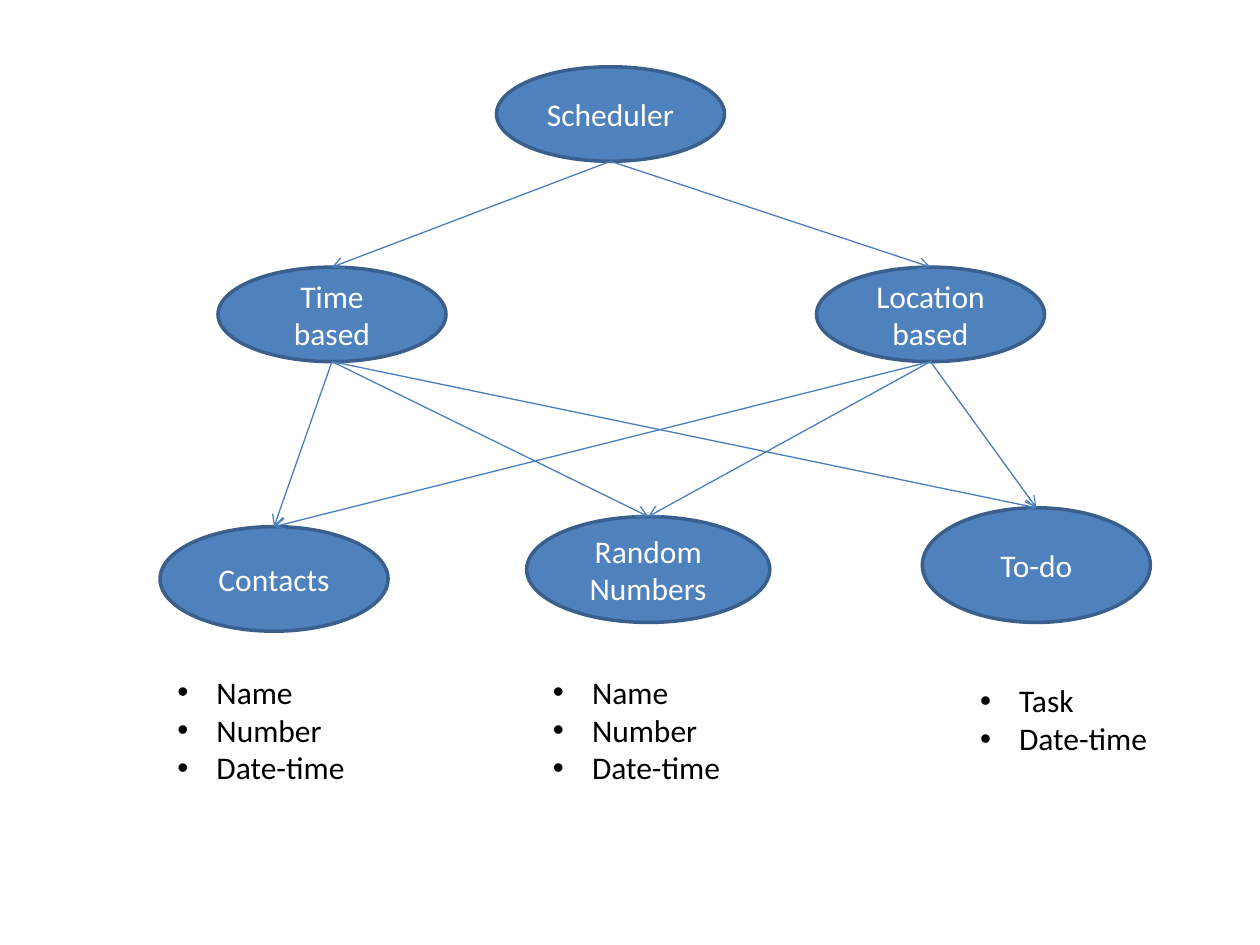
import pptx
import pptx.util
import pptx.dml.color
import pptx.enum.shapes
import pptx.enum.text
import pptx.oxml.ns
from lxml import etree

THEME = {
    "font": "Calibri", "size": 18,
    "fill": "4F81BD", "outline": "3A5F8C", "arrow": "4B7EBC",
    "node_text": "FFFFFF", "list_text": "000000",
    "outline_width": 2, "arrow_width": 0.75,
}
WIDTH, HEIGHT = 10, 7.5
NODE_W, NODE_H = 1.81, 0.75
LIST_W, LINE_H, LIST_PAD, INDENT = 2.01, 0.3, 0.1, 0.31

# name: (left, top, width, height)
NODES = {
    "Scheduler": (3.94, 0.53, NODE_W, NODE_H),
    "Time based": (1.73, 2.12, NODE_W, NODE_H),
    "Location based": (6.48, 2.12, NODE_W, NODE_H),
    "Contacts": (1.27, 4.18, NODE_W, 0.83),
    "Random Numbers": (4.18, 4.1, 1.93, 0.84),
    "To-do": (7.32, 4.03, NODE_W, 0.91),
}
TRIGGERS = ["Time based", "Location based"]
CHILDREN = {"Scheduler": TRIGGERS}
CHILDREN.update({t: ["Contacts", "Random Numbers", "To-do"] for t in TRIGGERS})

# left, top, items
FIELDS = [
    (1.31, 5.29, ["Name", "Number", "Date-time"]),
    (4.29, 5.29, ["Name", "Number", "Date-time"]),
    (7.68, 5.36, ["Task", "Date-time"]),
]


def inches(*values):
    """Convert numbers to lengths in inches."""
    return [pptx.util.Inches(v) for v in values]


def rgb(key):
    """Look up a theme colour."""
    return pptx.dml.color.RGBColor.from_string(THEME[key])


def style_text(p, color):
    """Apply the theme font to every run of a paragraph."""
    for r in p.runs:
        r.font.name = THEME["font"]
        r.font.size = pptx.util.Pt(THEME["size"])
        r.font.color.rgb = rgb(color)


def add_node(s, label):
    """Draw one labelled ellipse."""
    sp = s.shapes.add_shape(pptx.enum.shapes.MSO_SHAPE.OVAL,
                            *inches(*NODES[label]))
    sp.shadow.inherit = False
    sp.fill.solid()
    sp.fill.fore_color.rgb = rgb("fill")
    sp.line.color.rgb = rgb("outline")
    sp.line.width = pptx.util.Pt(THEME["outline_width"])
    tf = sp.text_frame
    tf.text = label
    tf.word_wrap = True
    tf.vertical_anchor = pptx.enum.text.MSO_ANCHOR.MIDDLE
    p = tf.paragraphs[0]
    p.alignment = pptx.enum.text.PP_ALIGN.CENTER
    style_text(p, "node_text")


def add_arrow(s, parent, child):
    """Draw an arrow from the bottom of one node to the top of another."""
    left, top, width, height = NODES[parent]
    child_left, child_top, child_width, _ = NODES[child]
    line = s.shapes.add_connector(
        pptx.enum.shapes.MSO_CONNECTOR.STRAIGHT,
        *inches(left + width / 2, top + height,
                child_left + child_width / 2, child_top))
    line.line.color.rgb = rgb("arrow")
    line.line.width = pptx.util.Pt(THEME["arrow_width"])
    qn = pptx.oxml.ns.qn
    etree.SubElement(line.line._get_or_add_ln(), qn("a:tailEnd"), type="arrow")
    etree.SubElement(line._element.spPr, qn("a:effectLst"))


def add_fields(s, left, top, items):
    """Draw a bulleted list."""
    height = LINE_H * len(items) + LIST_PAD
    tf = s.shapes.add_textbox(*inches(left, top, LIST_W, height)).text_frame
    tf.text = "\n".join(items)
    tf.word_wrap = True
    tf.auto_size = pptx.enum.text.MSO_AUTO_SIZE.SHAPE_TO_FIT_TEXT
    indent = pptx.util.Inches(INDENT)
    qn = pptx.oxml.ns.qn
    for p in tf.paragraphs:
        pPr = p._p.get_or_add_pPr()
        pPr.set("marL", str(indent))
        pPr.set("indent", str(-indent))
        etree.SubElement(pPr, qn("a:buFont"), typeface="Arial")
        etree.SubElement(pPr, qn("a:buChar"), char="•")
        style_text(p, "list_text")


prs = pptx.Presentation()
prs.slide_width, prs.slide_height = inches(WIDTH, HEIGHT)
s = prs.slides.add_slide(prs.slide_layouts[6])
for label in NODES:
    add_node(s, label)
for fields in FIELDS:
    add_fields(s, *fields)
for parent, children in CHILDREN.items():
    for child in children:
        add_arrow(s, parent, child)
prs.save("out.pptx")
